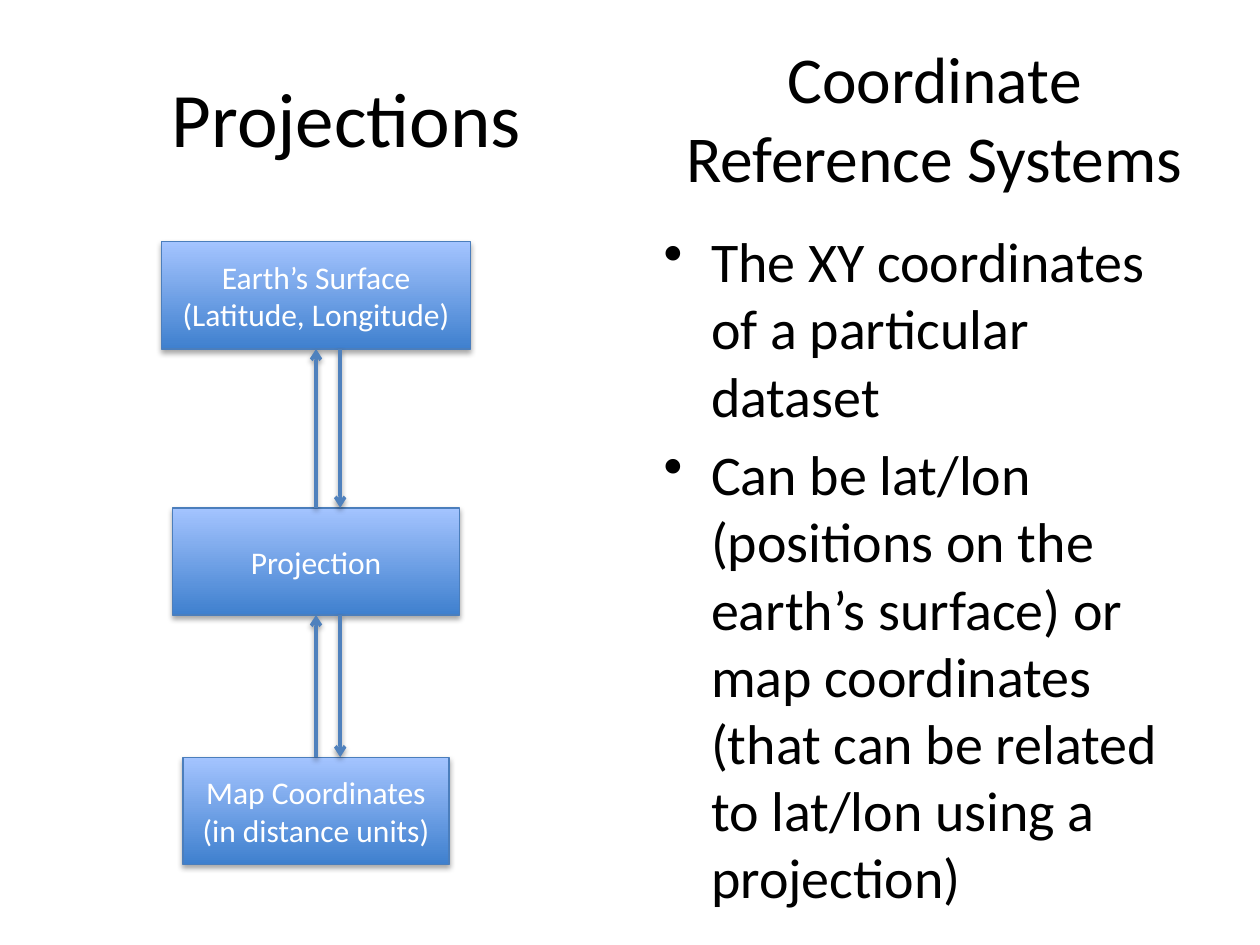
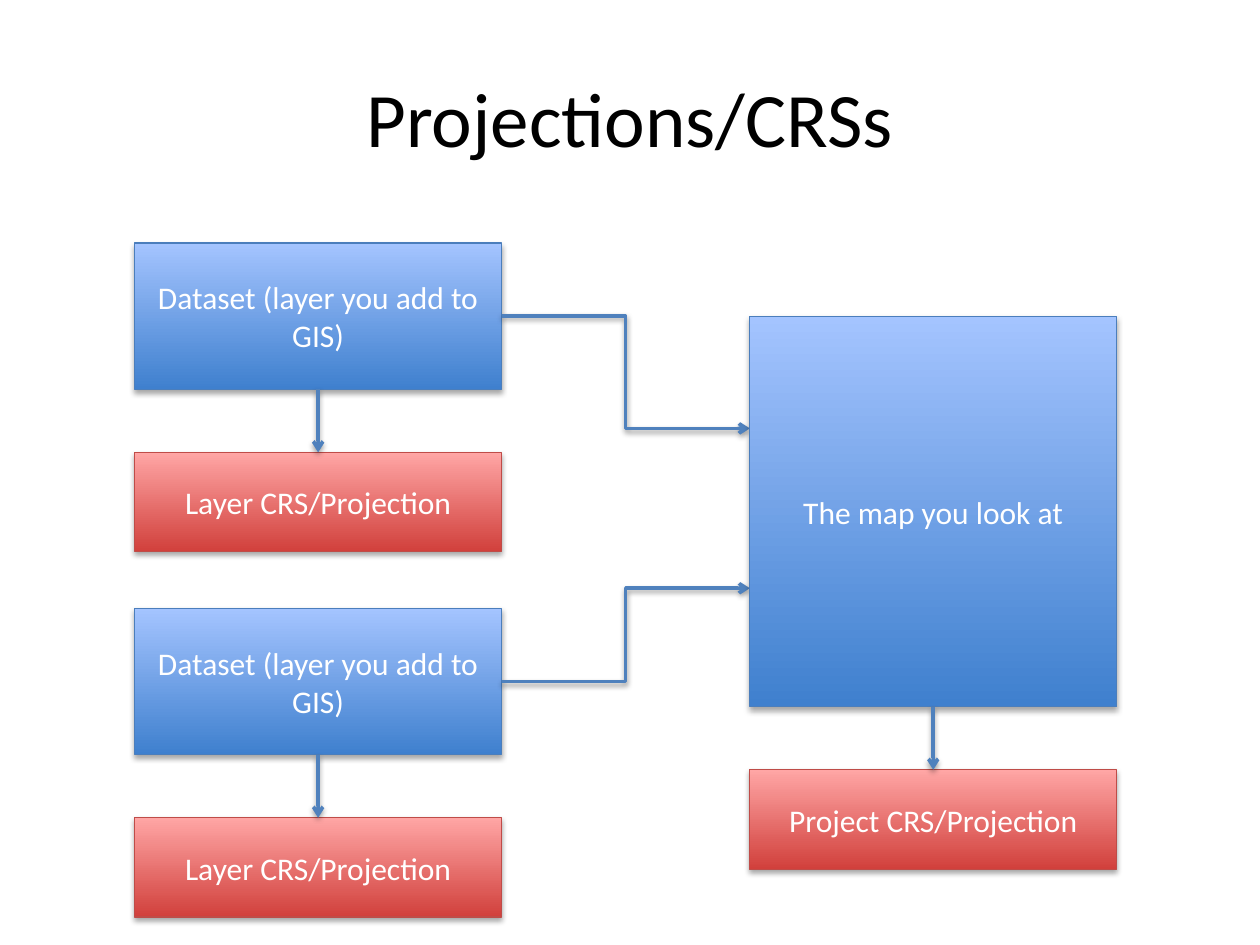
from pptx import Presentation
from pptx.dml.color import RGBColor
from pptx.enum.shapes import MSO_CONNECTOR, MSO_SHAPE
from pptx.enum.text import MSO_ANCHOR, PP_ALIGN
from pptx.oxml import parse_xml
from pptx.oxml.ns import nsdecls
from pptx.util import Pt

RECTANGLE = MSO_SHAPE.RECTANGLE
STRAIGHT, ELBOW = MSO_CONNECTOR.STRAIGHT, MSO_CONNECTOR.ELBOW
TOP, MIDDLE = MSO_ANCHOR.TOP, MSO_ANCHOR.MIDDLE
LEFT, CENTER = PP_ALIGN.LEFT, PP_ALIGN.CENTER
TOP_SIDE, BOTTOM_SIDE, RIGHT_SIDE = 0, 2, 3

FONT = "Calibri"
COLORS = {
    "text": "000000", "box_text": "FFFFFF", "arrow": "4F81BD",
    "blue_dark": "3F80CE", "blue_light": "A4C4FF", "blue_line": "4B7EBC",
    "red_dark": "D1403C", "red_light": "FFA6A5", "red_line": "BF4C48",
}
COLORS = {name: RGBColor.from_string(value) for name, value in COLORS.items()}
SHADOW = (
    f'<a:effectLst {nsdecls("a")}><a:outerShdw blurRad="40000" dist="%d" '
    'dir="5400000" rotWithShape="0"><a:srgbClr val="000000">'
    '<a:alpha val="%d"/></a:srgbClr></a:outerShdw></a:effectLst>'
)
ARROWHEAD = f'<a:tailEnd {nsdecls("a")} type="arrow"/>'
BULLET = f'<a:buChar {nsdecls("a")} char="•"/>'
BULLET_INDENT = Pt(27)


def write(page, text, left, top, width, height, *, size=18, tone=None,
          align=CENTER, anchor=MIDDLE, bullets=False):
    """Add a text box, or a shaded rectangle when a tone is given."""
    frame_size = Pt(left), Pt(top), Pt(width), Pt(height)
    if tone:
        box = page.shapes.add_shape(RECTANGLE, *frame_size)
        box.fill.gradient()
        box.fill.gradient_angle = 90
        for stop, shade in zip(box.fill.gradient_stops, ("dark", "light")):
            stop.color.rgb = COLORS[f"{tone}_{shade}"]
        box.line.color.rgb = COLORS[f"{tone}_line"]
        box.line.width = Pt(0.75)
        box._element.spPr.append(parse_xml(SHADOW % (23000, 35000)))
    else:
        box = page.shapes.add_textbox(*frame_size)
    frame = box.text_frame
    frame.word_wrap = True
    frame.vertical_anchor = anchor
    for index, line in enumerate(text.split("\n")):
        para = frame.add_paragraph() if index else frame.paragraphs[0]
        para.alignment = align
        if bullets:
            para.space_before = Pt(0.2 * size)
            properties = para._p.get_or_add_pPr()
            properties.set("marL", str(BULLET_INDENT))
            properties.set("indent", str(-BULLET_INDENT))
            properties.append(parse_xml(BULLET))
        span = para.add_run()
        span.text = line
        span.font.name = FONT
        span.font.size = Pt(size)
        span.font.color.rgb = COLORS["box_text" if tone else "text"]
    return box


def add_arrow(page, start, end, kind=STRAIGHT):
    """Join two ends, each an (x, y) in points or a (box, side)."""
    arrow = page.shapes.add_connector(kind, 0, 0, 0, 0)
    if hasattr(start[0], "text_frame"):
        arrow.begin_connect(*start)
    else:
        arrow.begin_x, arrow.begin_y = Pt(start[0]), Pt(start[1])
    if hasattr(end[0], "text_frame"):
        arrow.end_connect(*end)
    else:
        arrow.end_x, arrow.end_y = Pt(end[0]), Pt(end[1])
    arrow.line.color.rgb = COLORS["arrow"]
    arrow.line.width = Pt(2)
    arrow.line._get_or_add_ln().append(parse_xml(ARROWHEAD))
    arrow._element.spPr.append(parse_xml(SHADOW % (20000, 38000)))


deck = Presentation()
deck.slide_width, deck.slide_height = Pt(720), Pt(540)
blank = deck.slide_layouts[6]
TITLE_TOP, TITLE_HEIGHT = 21.6, 90

# Slide 1: projection chain on the left, reference systems on the right
page = deck.slides.add_slide(blank)
write(page, "Projections", 36, TITLE_TOP, 324, TITLE_HEIGHT, size=44)

CHAIN_CENTER, DOWN_X, STEP_HEIGHT = 180.6, 194.4, 61.2
steps = [
    ("Earth’s Surface (Latitude, Longitude)", 138.2, 176.4),
    ("Projection", 290.2, 164.2),
    ("Map Coordinates (in distance units)", 432.7, 152),
]
chain = [
    write(page, text, CHAIN_CENTER - width / 2, top, width, STEP_HEIGHT, tone="blue")
    for text, top, width in steps
]
for upper, lower in zip(chain, chain[1:]):
    add_arrow(page, (lower, TOP_SIDE), (upper, BOTTOM_SIDE))
    add_arrow(page, (DOWN_X, (upper.top + upper.height).pt if hasattr(upper.top + upper.height, "pt")
                     else upper.top.pt + STEP_HEIGHT), (DOWN_X, lower.top.pt))

write(page, "Coordinate Reference Systems", 372.2, TITLE_TOP, 324, TITLE_HEIGHT, size=37.4)
write(page,
      "The XY coordinates of a particular dataset\n"
      "Can be lat/lon (positions on the earth’s surface) or map coordinates "
      "(that can be related to lat/lon using a projection)",
      372.2, 126, 312, 414, size=32, align=LEFT, anchor=TOP, bullets=True)

# Slide 2: two datasets feeding one map, each with its own CRS
page = deck.slides.add_slide(blank)
write(page, "Projections/CRSs", 36, TITLE_TOP, 648, TITLE_HEIGHT, size=44)

BOX_WIDTH, CRS_HEIGHT, GAP = 209.6, 56.8, 36
DATASET_LEFT, DATASET_HEIGHT = 77, 83.6
MAP_LEFT, MAP_TOP, MAP_HEIGHT = 428.5, 180.7, 223.2

columns = [
    ("Dataset (layer you add to GIS)", "Layer CRS/Projection",
     DATASET_LEFT, 138.9, DATASET_HEIGHT, 244.8),
    ("Dataset (layer you add to GIS)", "Layer CRS/Projection",
     DATASET_LEFT, 347.7, DATASET_HEIGHT, 336.2),
    ("The map you look at", "Project CRS/Projection",
     MAP_LEFT, MAP_TOP, MAP_HEIGHT, None),
]
for text, crs_text, left, top, height, map_entry in columns:
    source = write(page, text, left, top, BOX_WIDTH, height, tone="blue")
    crs = write(page, crs_text, left, top + height + GAP, BOX_WIDTH, CRS_HEIGHT, tone="red")
    add_arrow(page, (source, BOTTOM_SIDE), (crs, TOP_SIDE))
    if map_entry:
        add_arrow(page, (source, RIGHT_SIDE), (MAP_LEFT, map_entry), ELBOW)

deck.save("out.pptx")
